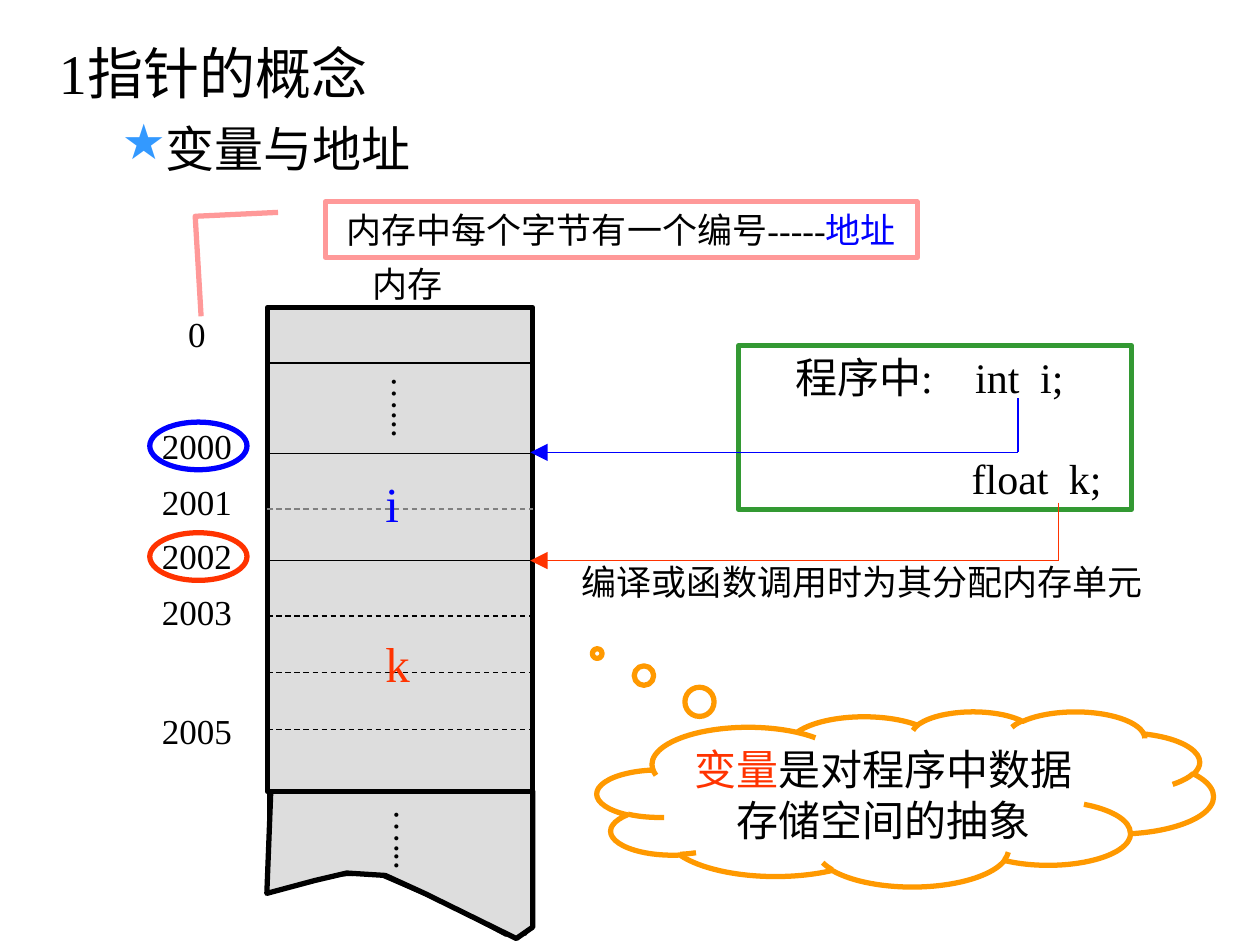
from typing import NamedTuple

from lxml.etree import SubElement
from pptx import Presentation
from pptx.dml.color import RGBColor
from pptx.enum.dml import MSO_LINE
from pptx.enum.shapes import MSO_CONNECTOR, MSO_SHAPE
from pptx.enum.text import MSO_ANCHOR, PP_ALIGN
from pptx.oxml.ns import qn
from pptx.util import Cm, Pt

FONT = "Times New Roman"
BLACK, GREY, PALE_GREY = "000000", "808080", "DDDDDD"
BLUE, RED, GREEN, PINK, ORANGE = "0000FF", "FF3300", "339933", "FF9999", "FF9900"
MEMORY_LEFT, MEMORY_RIGHT = 5.39, 10.74


class Box(NamedTuple):
    left: float
    top: float
    width: float
    height: float

    def lengths(self) -> list:
        return [Cm(value) for value in self]


class Span(NamedTuple):
    text: str
    color: str = BLACK


class Divider(NamedTuple):
    y: float
    color: str = BLACK
    dashed: bool = False


class Label(NamedTuple):
    text: str
    box: Box
    size: int = 20
    color: str = BLACK
    align: PP_ALIGN = PP_ALIGN.CENTER
    anchor: MSO_ANCHOR = MSO_ANCHOR.MIDDLE
    vertical: bool = False


DIVIDERS = [
    Divider(7.32), Divider(9.14), Divider(10.26, GREY, True), Divider(11.3),
    Divider(12.42, BLACK, True), Divider(13.56, BLACK, True),
    Divider(14.71, BLACK, True), Divider(15.95),
]
ADDRESSES = {"0": 6.17, "2000": 8.43, "2001": 9.55, "2002": 10.64, "2003": 11.76, "2005": 14.17}
LABELS = [Label(text, Box(3.02, top, 1.9, 1.12)) for text, top in ADDRESSES.items()] + [
    Label("内存", Box(7.26, 5.16, 1.9, 1.12)),
    Label("…...", Box(7.52, 7.35, 1.35, 1.5), vertical=True),
    Label("…...", Box(7.57, 16.06, 1.35, 1.5), vertical=True),
    Label("i", Box(7.52, 9.42, 0.79, 1.45), 28, BLUE, PP_ALIGN.LEFT, MSO_ANCHOR.TOP),
    Label("k", Box(7.52, 12.65, 0.99, 1.45), 28, RED, PP_ALIGN.LEFT, MSO_ANCHOR.TOP),
    Label("编译或函数调用时为其分配内存单元", Box(11.48, 11.18, 11.99, 1.12),
          align=PP_ALIGN.LEFT, anchor=MSO_ANCHOR.TOP),
]
TORN_EDGE = [
    (5.46, 15.95), (10.74, 15.95), (10.74, 18.69), (10.41, 18.92), (8.56, 18.01),
    (7.77, 17.65), (6.99, 17.6), (6.35, 17.75), (5.38, 18.01),
]
EDGE_CURVE = [
    (5.38, 18.03), (6.46, 17.67), (7.59, 17.63), (9, 18.24),
    (10.19, 18.87), (10.6, 18.85), (10.74, 18.62),
]


def rgb(color: str) -> RGBColor:
    return RGBColor.from_string(color)


def style_shape(shape, line: str, width: float = 3, fill: str | None = None) -> None:
    shape.shadow.inherit = False
    if fill:
        shape.fill.solid()
        shape.fill.fore_color.rgb = rgb(fill)
    else:
        shape.fill.background()
    shape.line.color.rgb = rgb(line)
    shape.line.width = Pt(width)


def add_preset(slide, kind, box: Box, line: str, fill: str | None = None):
    shape = slide.shapes.add_shape(kind, *box.lengths())
    style_shape(shape, line, fill=fill)
    return shape


def add_outline(slide, points, line_width: float, fill: str | None = None) -> None:
    corners = [(Cm(x), Cm(y)) for x, y in points]
    builder = slide.shapes.build_freeform(*corners[0])
    builder.add_line_segments(corners[1:], close=fill is not None)
    style_shape(builder.convert_to_shape(), BLACK, line_width, fill)


def add_line(slide, start, end, color: str, dashed: bool = False, arrow: bool = False) -> None:
    """Draw a thin line; an arrowhead goes at its start."""
    ends = [Cm(value) for value in (*start, *end)]
    connector = slide.shapes.add_connector(MSO_CONNECTOR.STRAIGHT, *ends)
    connector.line.color.rgb = rgb(color)
    connector.line.width = Pt(0.75)
    if dashed:
        connector.line.dash_style = MSO_LINE.DASH
    if arrow:
        outline = connector.line._get_or_add_ln()
        SubElement(outline, qn("a:headEnd"), type="triangle", w="lg", len="lg")
    SubElement(connector._element.spPr, qn("a:effectLst"))


def fill_paragraph(paragraph, spans: list[Span], size: int, align: PP_ALIGN) -> None:
    paragraph.alignment = align
    for span in spans:
        run = paragraph.add_run()
        run.text = span.text
        run.font.name = FONT
        run.font.size = Pt(size)
        run.font.color.rgb = rgb(span.color)


def write_text(shape, lines: list[list[Span]], size: int, align=PP_ALIGN.CENTER,
               anchor=MSO_ANCHOR.MIDDLE) -> None:
    frame = shape.text_frame
    frame.word_wrap = False
    frame.vertical_anchor = anchor
    for index, spans in enumerate(lines):
        paragraph = frame.add_paragraph() if index else frame.paragraphs[0]
        fill_paragraph(paragraph, spans, size, align)


def add_label(slide, label: Label) -> None:
    text_box = slide.shapes.add_textbox(*label.box.lengths())
    write_text(text_box, [[Span(label.text, label.color)]], label.size, label.align, label.anchor)
    frame = text_box.text_frame
    if label.align == PP_ALIGN.CENTER:
        frame.margin_left = frame.margin_right = Cm(0.13)
    if label.vertical:
        frame.margin_top = frame.margin_bottom = Cm(0.25)
        frame._txBody.bodyPr.set("vert", "eaVert")


def add_heading(slide) -> None:
    frame = slide.shapes.add_textbox(*Box(0.94, 0.66, 23.7, 3.02).lengths()).text_frame
    frame.word_wrap = True
    fill_paragraph(frame.paragraphs[0], [Span("1指针的概念")], 32, PP_ALIGN.LEFT)
    topic = frame.add_paragraph()
    topic.space_before = Pt(7)
    properties = topic._p.get_or_add_pPr()
    properties.set("marL", str(Cm(2.06)))
    properties.set("indent", str(Cm(-0.79)))
    bullet_color = SubElement(properties, qn("a:buClr"))
    SubElement(bullet_color, qn("a:srgbClr"), val="3399FF")
    SubElement(properties, qn("a:buChar"), char="★")
    fill_paragraph(topic, [Span("变量与地址")], 28, PP_ALIGN.LEFT)


def add_program(slide) -> None:
    program = add_preset(slide, MSO_SHAPE.RECTANGLE, Box(14.89, 6.97, 7.92, 3.3), GREEN)
    write_text(program, [[Span("程序中:\tint\ti;")], [Span("\tfloat\tk;")]], 24, PP_ALIGN.LEFT)
    frame = program.text_frame
    frame.word_wrap = True
    frame.margin_left = Cm(1.14)
    frame.margin_right = Cm(0)
    frame.paragraphs[1].space_before = Pt(29)
    for paragraph, stops in zip(frame.paragraphs, ((3.63, 4.94), (3.56, 5.52))):
        tab_list = SubElement(paragraph._p.get_or_add_pPr(), qn("a:tabLst"))
        for stop in stops:
            SubElement(tab_list, qn("a:tab"), pos=str(Cm(stop)), algn="l")


def add_callout(slide, kind, box: Box, color: str, adjustments, lines, size: int, anchor) -> None:
    callout = add_preset(slide, kind, box, color)
    for index, value in enumerate(adjustments):
        callout.adjustments[index] = value
    write_text(callout, lines, size, anchor=anchor)


def add_memory(slide) -> None:
    add_outline(slide, EDGE_CURVE, 0.75)
    add_outline(slide, TORN_EDGE, 3, PALE_GREY)
    add_preset(slide, MSO_SHAPE.RECTANGLE, Box(MEMORY_LEFT, 6.2, 5.35, 9.76), BLACK, PALE_GREY)
    for y, color, dashed in DIVIDERS:
        add_line(slide, (MEMORY_LEFT, y), (MEMORY_RIGHT, y), color, dashed)
    for x, bottom in ((MEMORY_LEFT, 18.01), (MEMORY_RIGHT, 18.64)):
        add_line(slide, (x, 16), (x, bottom), BLACK)


def main() -> None:
    presentation = Presentation()
    presentation.slide_width, presentation.slide_height = Cm(25.4), Cm(19.05)
    slide = presentation.slides.add_slide(presentation.slide_layouts[6])

    for top, color in ((10.74, RED), (8.51, BLUE)):
        add_preset(slide, MSO_SHAPE.OVAL, Box(3.02, top, 1.96, 0.96), color, "FFFFFF")
    add_heading(slide)
    add_program(slide)
    add_callout(slide, MSO_SHAPE.LINE_CALLOUT_2, Box(6.56, 4.07, 11.93, 1.12), PINK,
                (0.19, -0.08, 0.26, -0.22, 2.06, -0.21),
                [[Span("内存中每个字节有一个编号-----"), Span("地址", BLUE)]], 20, MSO_ANCHOR.MIDDLE)
    add_memory(slide)
    for label in LABELS:
        add_label(slide, label)
    for x, top, y, color in ((20.52, 8.03, 9.12, BLUE), (21.34, 10.13, 11.3, RED)):
        add_line(slide, (x, top), (x, y), color)
        add_line(slide, (10.69, y), (x, y), color, arrow=True)
    add_callout(slide, MSO_SHAPE.CLOUD_CALLOUT, Box(12.04, 14.34, 12.42, 3.53), ORANGE,
                (-0.5, -0.83),
                [[Span("变量", RED), Span("是对程序中数据")], [Span("存储空间的抽象")]], 24, MSO_ANCHOR.TOP)
    presentation.save("out.pptx")


if __name__ == "__main__":
    main()
